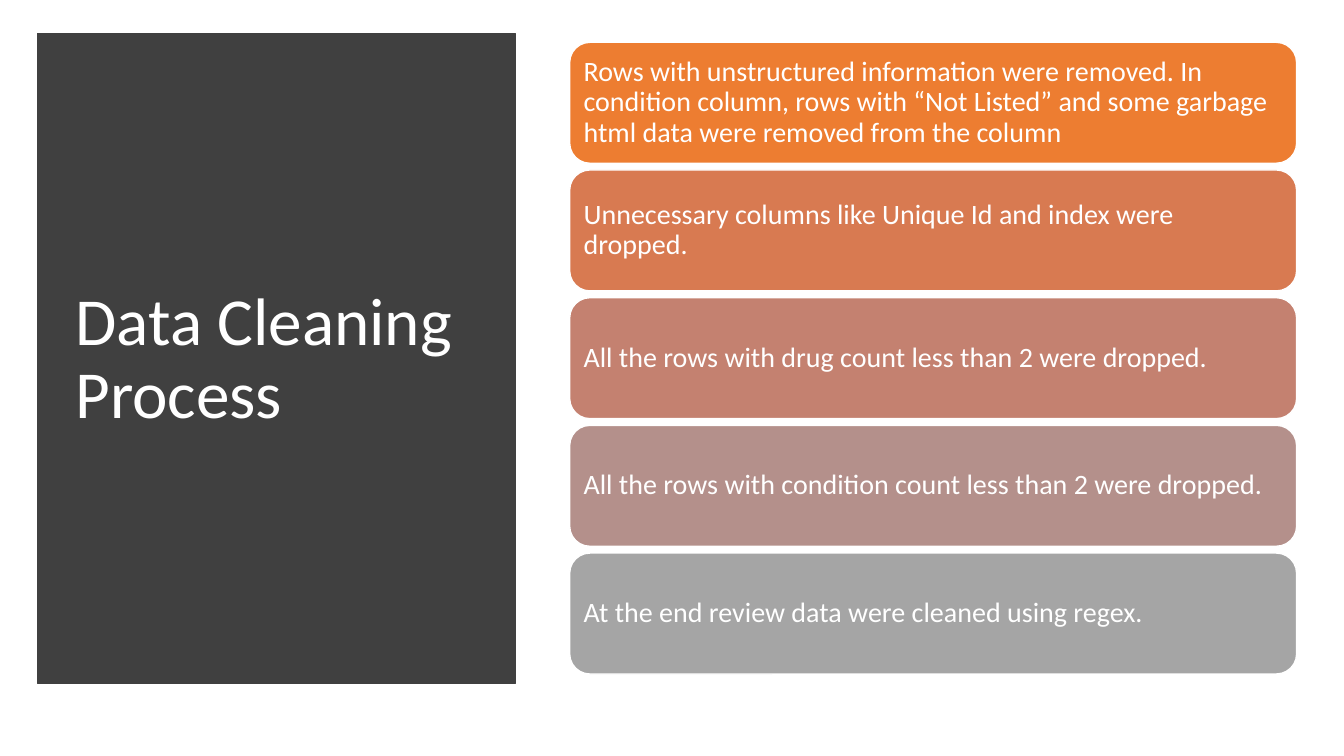
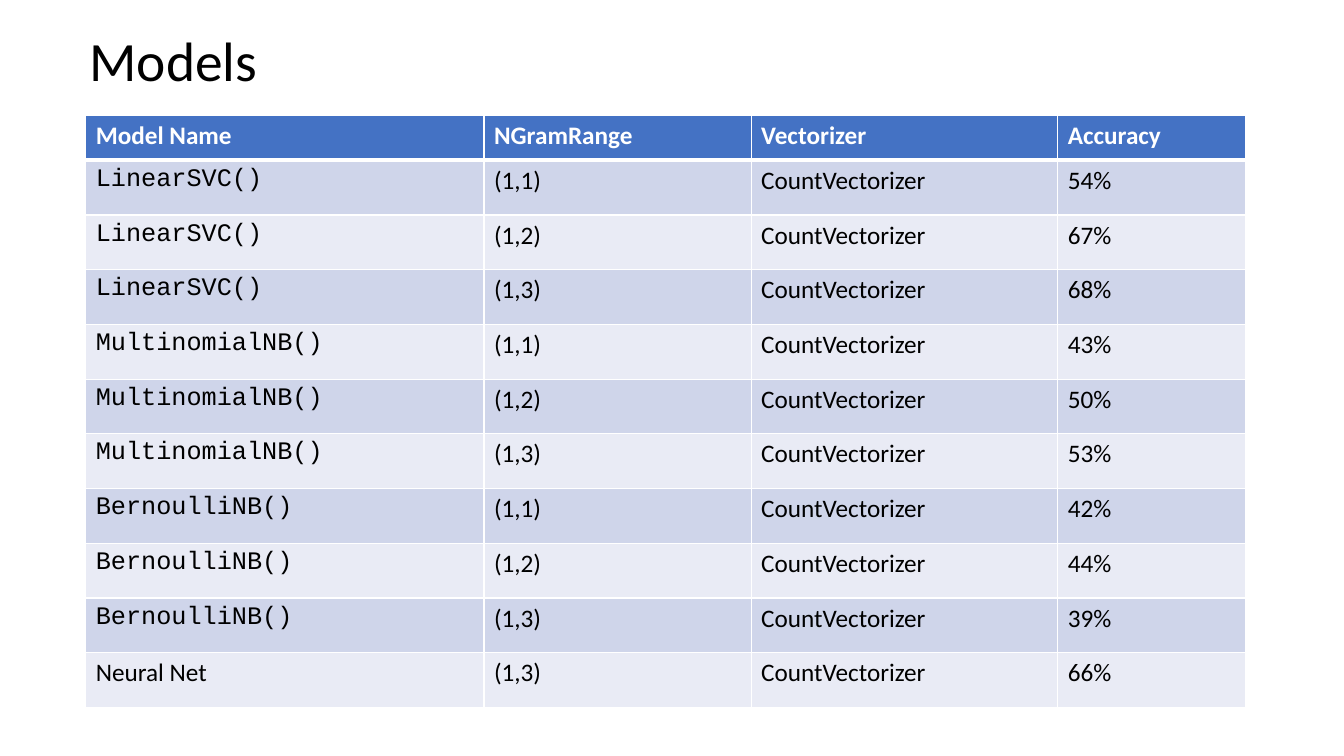
from lxml import etree
from pptx import Presentation
from pptx.dml.color import RGBColor
from pptx.enum.shapes import MSO_SHAPE
from pptx.enum.text import MSO_ANCHOR, PP_ALIGN
from pptx.oxml.ns import qn
from pptx.util import Inches, Pt

RECTANGLE = MSO_SHAPE.RECTANGLE
ROUNDED = MSO_SHAPE.ROUNDED_RECTANGLE
MIDDLE, TOP = MSO_ANCHOR.MIDDLE, MSO_ANCHOR.TOP
LEFT = PP_ALIGN.LEFT
color = RGBColor.from_string

# Shared look
WHITE, BLACK, DARK = "FFFFFF", "000000", "404040"
HEADER, BANDS = "4472C4", ("CFD5EA", "E9EBF5")
BODY_FONT, CODE_FONT = "Calibri", "Courier New"

presentation = Presentation()
presentation.slide_width = Inches(13.33)
presentation.slide_height = Inches(7.5)
BLANK = presentation.slide_layouts[6]

# Grid: 100 columns by 100 rows over the slide
COLUMN = presentation.slide_width / 100
ROW = presentation.slide_height / 100


def grid(left, top, width, height):
    return [round(left * COLUMN), round(top * ROW), round(width * COLUMN), round(height * ROW)]


def write(frame, text, size, text_color, font=BODY_FONT, bold=False, spacing=0.9, anchor=MIDDLE):
    frame.word_wrap = True
    frame.vertical_anchor = anchor
    paragraph = frame.paragraphs[0]
    paragraph.alignment = LEFT
    paragraph.line_spacing = spacing
    run = paragraph.add_run()
    run.text = text
    formats = {"size": Pt(size), "name": font, "bold": bold}
    for name, value in formats.items():
        setattr(run.font, name, value)
    run.font.color.rgb = color(text_color)


# Slide 1: title panel and cleaning steps
cleaning_slide = presentation.slides.add_slide(BLANK)
steps = [
    ("ED7D31", "Rows with unstructured information were removed. In condition column, "
               "rows with “Not Listed” and some garbage html data were removed from the column"),
    ("D87A51", "Unnecessary columns like Unique Id and index were dropped."),
    ("C48170", "All the rows with drug count less than 2 were dropped."),
    ("B4908B", "All the rows with condition count less than 2 were dropped."),
    ("A5A5A5", "At the end review data were cleaned using regex."),
]
STEP_TOP, STEP_HEIGHT, STEP_PITCH = 5.6, 16, 16.89

boxes = [(RECTANGLE, grid(2.78, 4.4, 35.56, 86), DARK, DARK, "")]
for index, (fill, text) in enumerate(steps):
    place = grid(42.39, STEP_TOP + index * STEP_PITCH, 54.09, STEP_HEIGHT)
    boxes.append((ROUNDED, place, fill, WHITE, text))

for kind, place, fill, line, text in boxes:
    shape = cleaning_slide.shapes.add_shape(kind, *place)
    shape.shadow.inherit = False
    shape.fill.solid()
    shape.fill.fore_color.rgb = color(fill)
    shape.line.color.rgb = color(line)
    shape.line.width = Pt(1)
    if text:
        for side in ("left", "top", "right", "bottom"):
            setattr(shape.text_frame, f"margin_{side}", Inches(0.08))
        write(shape.text_frame, text, 20, WHITE)

# Slide 2: model results
models_slide = presentation.slides.add_slide(BLANK)
records = [("Model Name", "NGramRange", "Vectorizer", "Accuracy")]
scores = {
    "LinearSVC()": (54, 67, 68),
    "MultinomialNB()": (43, 50, 53),
    "BernoulliNB()": (42, 44, 39),
}
for model, accuracies in scores.items():
    for length, accuracy in enumerate(accuracies, start=1):
        records.append((model, f"(1,{length})", "CountVectorizer", f"{accuracy}%"))
records.append(("Neural Net", "(1,3)", "CountVectorizer", "66%"))

COLUMN_SHARES = (29.63, 19.88, 22.81, 13.95)
HEADER_HEIGHT, RECORD_HEIGHT = 5.87, 7.24
table_height = HEADER_HEIGHT + RECORD_HEIGHT * (len(records) - 1)
table = models_slide.shapes.add_table(
    len(records), len(COLUMN_SHARES), *grid(6.38, 15.33, sum(COLUMN_SHARES), table_height)
).table
for table_column, share in zip(table.columns, COLUMN_SHARES):
    table_column.width = round(share * COLUMN)

for row_index, record in enumerate(records):
    is_header = row_index == 0
    table.rows[row_index].height = round((HEADER_HEIGHT if is_header else RECORD_HEIGHT) * ROW)
    for column_index, text in enumerate(record):
        cell = table.cell(row_index, column_index)

        # White rules, heavier under the header
        borders = {"lnL": 1, "lnR": 1, "lnT": 3 if row_index == 1 else 1, "lnB": 3 if is_header else 1}
        properties = cell._tc.get_or_add_tcPr()
        for tag, width in borders.items():
            border = etree.SubElement(properties, qn(f"a:{tag}"), w=str(Pt(width)))
            border_fill = etree.SubElement(border, qn("a:solidFill"))
            etree.SubElement(border_fill, qn("a:srgbClr"), val=WHITE)

        cell.fill.solid()
        cell.fill.fore_color.rgb = color(HEADER if is_header else BANDS[(row_index - 1) % 2])
        write(cell.text_frame, text, 18, WHITE if is_header else BLACK,
              font=CODE_FONT if text in scores else BODY_FONT,
              bold=is_header, spacing=1.0, anchor=TOP)

# Titles
titles = [
    (cleaning_slide, "Data Cleaning Process", grid(4.88, 9.33, 31.21, 76.67), 48, WHITE),
    (models_slide, "Models", grid(5.93, 5.07, 86.27, 6.67), 39.6, BLACK),
]
for slide, text, place, size, text_color in titles:
    write(slide.shapes.add_textbox(*place).text_frame, text, size, text_color)

presentation.save("out.pptx")
